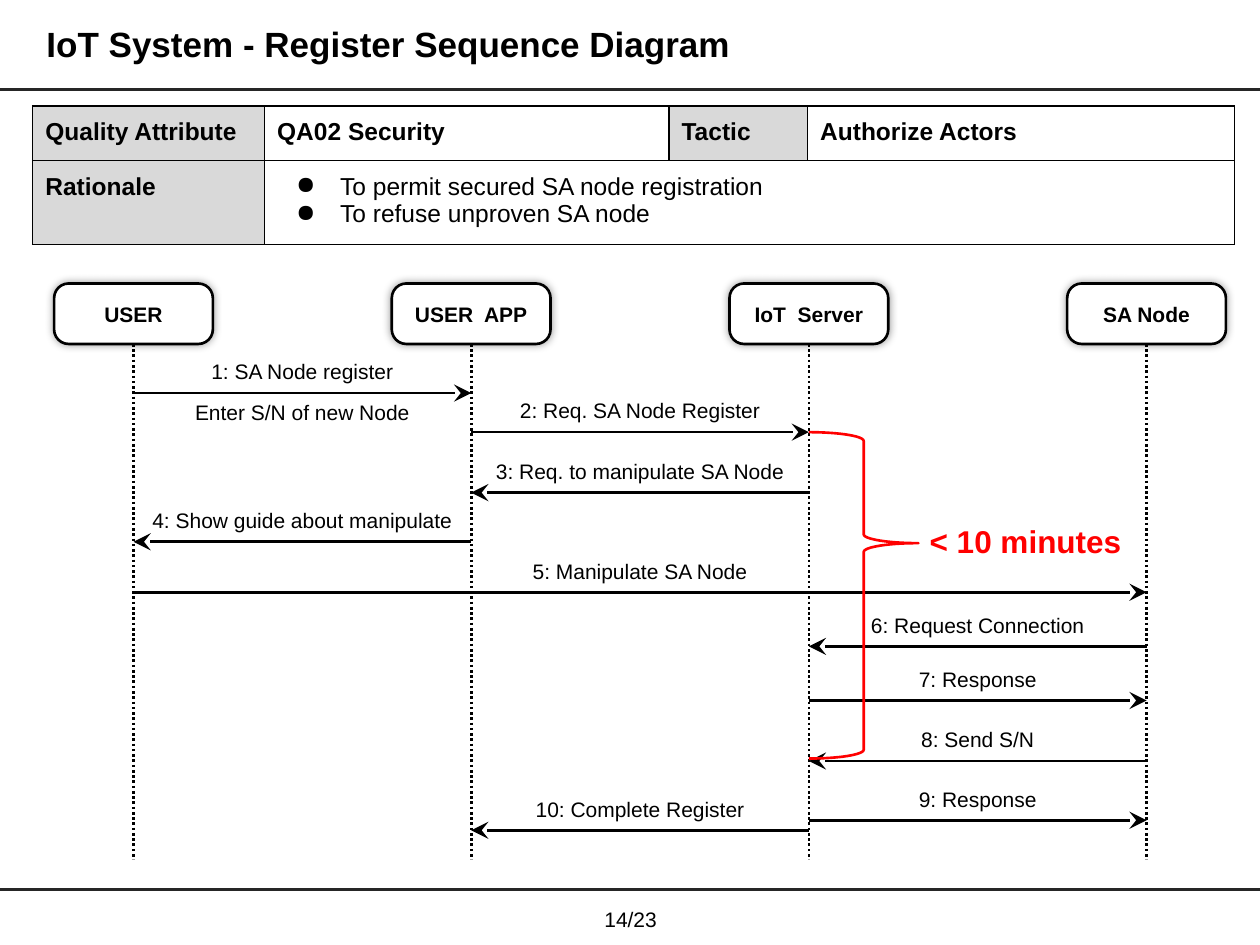
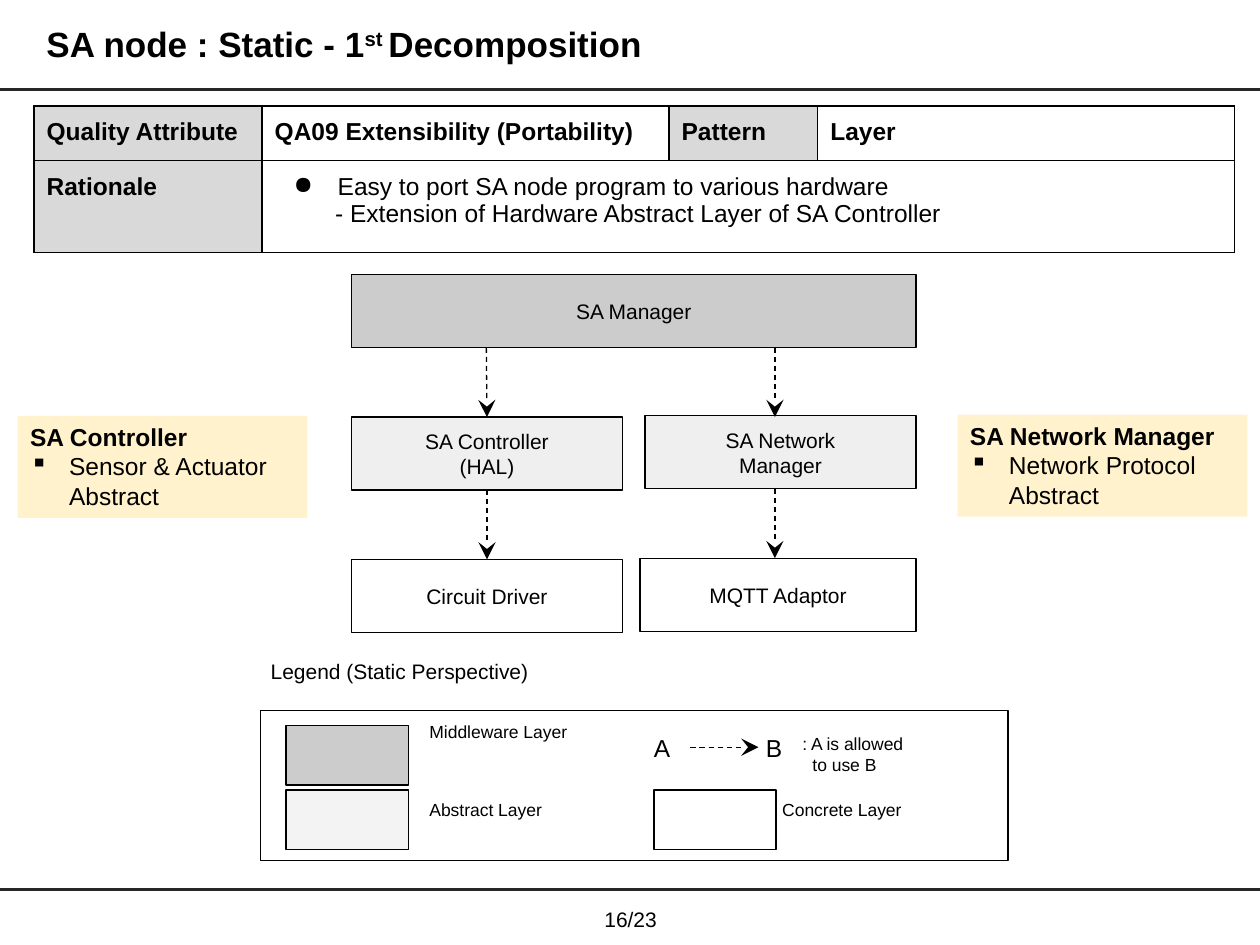
import dataclasses

import lxml.etree
import pptx
import pptx.dml.color
import pptx.enum.dml
import pptx.enum.shapes
import pptx.enum.text
import pptx.oxml
import pptx.oxml.ns
import pptx.util

Inches = pptx.util.Inches
Pt = pptx.util.Pt
Align = pptx.enum.text.PP_ALIGN
Anchor = pptx.enum.text.MSO_ANCHOR
Shape = pptx.enum.shapes.MSO_SHAPE
Dash = pptx.enum.dml.MSO_LINE

BLACK, WHITE, RED, RULE = "000000", "FFFFFF", "FF0000", "262626"
LABEL_GRAY, MIDDLEWARE, ABSTRACT, NOTE = "D9D9D9", "CCCCCC", "EFEFEF", "FFF2CC"
NAMESPACE = pptx.oxml.ns.nsdecls("a")
BOTTOM, TOP = 2, 0


def color(hex_string):
    return pptx.dml.color.RGBColor.from_string(hex_string)


def add_xml(parent, tag, **attributes):
    child = lxml.etree.SubElement(parent, pptx.oxml.ns.qn(tag))
    for name, value in attributes.items():
        child.set(name, str(value))
    return child


@dataclasses.dataclass
class Line:
    """One paragraph; indents are in inches."""
    text: str
    bold: bool = False
    bullet: str = ""
    left: float = 0
    hanging: float = 0


class Deck:
    """Holds the presentation, its style and the current slide."""
    font = "Arial"

    def __init__(self):
        self.presentation = pptx.Presentation()
        self.presentation.slide_width = Inches(10)
        self.presentation.slide_height = Inches(7.5)
        self.slide = None

    def start_slide(self, title_runs, page):
        """Title runs are (text, is_superscript) pairs."""
        layout = self.presentation.slide_layouts[6]
        self.slide = self.presentation.slides.add_slide(layout)
        for y in (0.71, 7.06):
            self.connector((0, y), (10, y), RULE, 1.75)
        title = self.text((0.27, 0.1, 8.52, 0.53), [Line("", True)], 20,
                          anchor=Anchor.MIDDLE, inset=0.1)
        paragraph = title.text_frame.paragraphs[0]
        paragraph.line_spacing = 0.9
        for text, is_superscript in title_runs:
            run = paragraph.add_run()
            run.text = text
            if is_superscript:
                run.font._element.set("baseline", "30000")
        self.text((4.62, 7.14, 0.77, 0.31), [page], 12,
                  align=Align.CENTER, anchor=Anchor.MIDDLE)

    def set_lines(self, frame, lines, size, font_color=BLACK, align=Align.LEFT):
        """Fill a text frame with strings or Line objects."""
        frame.word_wrap = True
        for index, line in enumerate(lines):
            if isinstance(line, str):
                line = Line(line)
            paragraph = frame.paragraphs[0] if index == 0 else frame.add_paragraph()
            paragraph.text = line.text
            paragraph.alignment = align
            paragraph.font.name = self.font
            paragraph.font.size = Pt(size)
            paragraph.font.bold = line.bold
            paragraph.font.color.rgb = color(font_color)
            properties = paragraph._p.get_or_add_pPr()
            properties.set("marL", str(Inches(line.left)))
            properties.set("indent", str(Inches(-line.hanging)))
            if line.bullet:
                bullet = pptx.oxml.parse_xml(
                    f'<a:buChar {NAMESPACE} char="{line.bullet}"/>')
                properties.insert_element_before(
                    bullet, "a:tabLst", "a:defRPr", "a:extLst")

    def place_text(self, frame, anchor, inset):
        frame.vertical_anchor = anchor
        frame.margin_left = frame.margin_right = Inches(0.1)
        frame.margin_top = frame.margin_bottom = Inches(inset)

    def text(self, box, lines, size, font_color=BLACK, align=Align.LEFT,
             anchor=Anchor.TOP, inset=0.05):
        shape = self.slide.shapes.add_textbox(*map(Inches, box))
        self.place_text(shape.text_frame, anchor, inset)
        self.set_lines(shape.text_frame, lines, size, font_color, align)
        return shape

    def shape(self, kind, box, fill=None, line=BLACK, width=0.75, lines=(),
              size=12, align=Align.CENTER, anchor=Anchor.MIDDLE, adjustments=()):
        shape = self.slide.shapes.add_shape(kind, *map(Inches, box))
        shape.shadow.inherit = False
        for index, value in enumerate(adjustments):
            shape.adjustments[index] = value
        if fill:
            shape.fill.solid()
            shape.fill.fore_color.rgb = color(fill)
        else:
            shape.fill.background()
        if line:
            shape.line.color.rgb = color(line)
            shape.line.width = Pt(width)
        else:
            shape.line.fill.background()
        self.place_text(shape.text_frame, anchor, 0.05)
        self.set_lines(shape.text_frame, lines, size, align=align)
        return shape

    def glow(self, shape):
        """Give the shape a soft shadow on all sides."""
        effects = shape._element.spPr.find(pptx.oxml.ns.qn("a:effectLst"))
        shadow = add_xml(effects, "a:outerShdw", blurRad=Pt(5), dist=0, dir=0,
                         algn="ctr", rotWithShape=0)
        shade = add_xml(shadow, "a:srgbClr", val=BLACK)
        add_xml(shade, "a:alpha", val=40000)

    def connector(self, start, end, line=BLACK, width=0.75, dash=None, arrow=False):
        connector = self.slide.shapes.add_connector(
            pptx.enum.shapes.MSO_CONNECTOR.STRAIGHT, *map(Inches, start + end))
        connector.line.color.rgb = color(line)
        connector.line.width = Pt(width)
        if dash:
            connector.line.dash_style = dash
        properties = connector._element.spPr
        if arrow:
            add_xml(properties.ln, "a:tailEnd", type="stealth", w="lg", len="lg")
        add_xml(properties, "a:effectLst")
        return connector

    def quality_table(self, left, widths, heights, header, rationale):
        """Header of two label and value pairs above a rationale row."""
        frame = self.slide.shapes.add_table(
            2, 4, Inches(left), Inches(0.84), Inches(sum(widths)), Inches(sum(heights)))
        table = frame.table
        table.first_row = table.horz_banding = False
        for column, width in zip(table.columns, widths):
            column.width = Inches(width)
        for row, height in zip(table.rows, heights):
            row.height = Inches(height)
        table.cell(1, 1).merge(table.cell(1, 3))
        contents = [[[Line(text, True)] for text in header],
                    [[Line("Rationale", True)], rationale, [], []]]
        for row, row_contents in enumerate(contents):
            for column, lines in enumerate(row_contents):
                cell = table.cell(row, column)
                is_label = column == 0 or (row == 0 and column == 2)
                cell.fill.solid()
                cell.fill.fore_color.rgb = color(LABEL_GRAY if is_label else WHITE)
                self.place_text(cell, Anchor.TOP, 0.1)
                self.set_lines(cell.text_frame, lines, 14)
                self.border(cell)

    def border(self, cell):
        properties = cell._tc.get_or_add_tcPr()
        for index, side in enumerate(("lnL", "lnR", "lnT", "lnB")):
            properties.insert(index, pptx.oxml.parse_xml(
                f'<a:{side} {NAMESPACE} w="{Pt(1)}"><a:solidFill>'
                f'<a:srgbClr val="{BLACK}"/></a:solidFill></a:{side}>'))


def build_register_sequence(deck):
    deck.start_slide([("IoT System - Register Sequence Diagram", False)], "14/23")
    deck.quality_table(
        0.26, (1.84, 3.21, 1.1, 3.39), (0.41, 0.64),
        ("Quality Attribute", "QA02 Security", "Tactic", "Authorize Actors"),
        [Line("To permit secured SA node registration", False, "●", 0.5, 0.35),
         Line("To refuse unproven SA node", False, "●", 0.5, 0.35)])

    actors = ("USER", "USER  APP", "IoT  Server", "SA Node")
    lanes = [1.06 + 2.68 * index for index in range(len(actors))]
    for name, x in zip(actors, lanes):
        actor = deck.shape(Shape.ROUNDED_RECTANGLE, (x - 0.63, 2.25, 1.26, 0.48), WHITE,
                           width=1.5, lines=[Line(name, True)], adjustments=[0.24])
        deck.glow(actor)
        lifeline = deck.connector((x, 2.73), (x, 6.82), width=1.5, dash=Dash.ROUND_DOT)
        lifeline.begin_connect(actor, BOTTOM)

    user, app, server, node = lanes
    messages = [
        (user, app, 3.12, "1: SA Node register"),
        (app, server, 3.43, "2: Req. SA Node Register"),
        (server, app, 3.91, "3: Req. to manipulate SA Node"),
        (app, user, 4.3, "4: Show guide about manipulate"),
        (user, node, 4.7, "5: Manipulate SA Node"),
        (node, server, 5.13, "6: Request Connection"),
        (server, node, 5.56, "7: Response"),
        (node, server, 6.04, "8: Send S/N"),
        (server, node, 6.51, "9: Response"),
        (server, app, 6.59, "10: Complete Register"),
    ]
    for sender, receiver, y, label in messages:
        deck.connector((sender, y), (receiver, y), width=1.5, arrow=True)
        deck.text((min(sender, receiver), y - 0.32, abs(receiver - sender), 0.3),
                  [label], 12, align=Align.CENTER)
    deck.text((user, 3.12, app - user, 0.3), ["Enter S/N of new Node"], 12,
              align=Align.CENTER)

    deck.shape(Shape.RIGHT_BRACE, (server, 3.43, 0.87, 2.59), line=RED, width=1.5,
               adjustments=(0.08, 0.34))
    deck.text((7.28, 4.09, 1.9, 0.4), [Line("< 10 minutes", True)], 18, RED)


def build_node_decomposition(deck):
    deck.start_slide([("SA node : Static - 1", False), ("st ", True),
                      ("Decomposition", False)], "16/23")
    deck.quality_table(
        0.27, (1.81, 3.23, 1.18, 3.31), (0.41, 0.73),
        ("Quality Attribute", "QA09 Extensibility (Portability)", "Pattern", "Layer"),
        [Line("Easy to port SA node program to various hardware", False, "●", 0.5, 0.35),
         Line("- Extension of Hardware Abstract Layer of SA Controller", left=0.48)])

    def layer(left, top, width, fill, *lines):
        return deck.shape(Shape.RECTANGLE, (left, top, width, 0.58), fill, lines=lines)

    def uses(start, end):
        return deck.connector(start, end, dash=Dash.DASH, arrow=True)

    layer(2.79, 2.18, 4.48, MIDDLEWARE, "SA Manager")
    controller = layer(2.79, 3.31, 2.15, ABSTRACT, "SA Controller", "(HAL)")
    layer(5.12, 3.3, 2.15, ABSTRACT, "SA Network", "Manager")
    driver = layer(2.79, 4.44, 2.15, WHITE, "Circuit Driver")
    layer(5.08, 4.43, 2.19, WHITE, "MQTT Adaptor")

    uses((3.86, 2.76), (3.86, 3.31)).end_connect(controller, TOP)
    controller_to_driver = uses((3.86, 3.89), (3.86, 4.44))
    controller_to_driver.begin_connect(controller, BOTTOM)
    controller_to_driver.end_connect(driver, TOP)
    for top in (2.76, 3.88):
        uses((6.15, top), (6.15, top + 0.55))

    notes = [(0.14, 3.3, "SA Controller", "Sensor & Actuator"),
             (7.6, 3.29, "SA Network Manager", "Network Protocol")]
    for left, top, heading, detail in notes:
        deck.shape(Shape.RECTANGLE, (left, top, 2.3, 0.81), NOTE, None, size=14,
                   align=Align.LEFT, anchor=Anchor.TOP,
                   lines=[Line(heading, True), Line(detail, False, "▪", 0.31, 0.31),
                          Line("Abstract", left=0.31)])

    deck.text((2.05, 5.18, 2.4, 0.3), ["Legend (Static Perspective)"], 12)
    deck.shape(Shape.RECTANGLE, (2.07, 5.64, 5.93, 1.19), WHITE)
    for left, top, fill in ((2.27, 5.76, MIDDLEWARE), (2.27, 6.27, "F3F3F3"),
                            (5.19, 6.27, WHITE)):
        deck.shape(Shape.RECTANGLE, (left, top, 0.97, 0.47), fill)
    uses((5.48, 5.93), (6.02, 5.93))
    legend_texts = [
        (3.31, 5.64, 1.78, 10, ["Middleware Layer"]),
        (3.31, 6.26, 1.78, 10, ["Abstract Layer"]),
        (6.11, 6.26, 1.78, 10, ["Concrete Layer"]),
        (5.09, 5.72, 0.49, 14, ["A"]),
        (5.98, 5.72, 0.49, 14, ["B"]),
        (6.27, 5.72, 1.6, 10, [": A is allowed", Line("to use B", left=0.08)]),
    ]
    for left, top, width, size, lines in legend_texts:
        deck.text((left, top, width, 0.33), lines, size, inset=0.1)


def main():
    deck = Deck()
    build_register_sequence(deck)
    build_node_decomposition(deck)
    deck.presentation.save("out.pptx")


if __name__ == "__main__":
    main()
